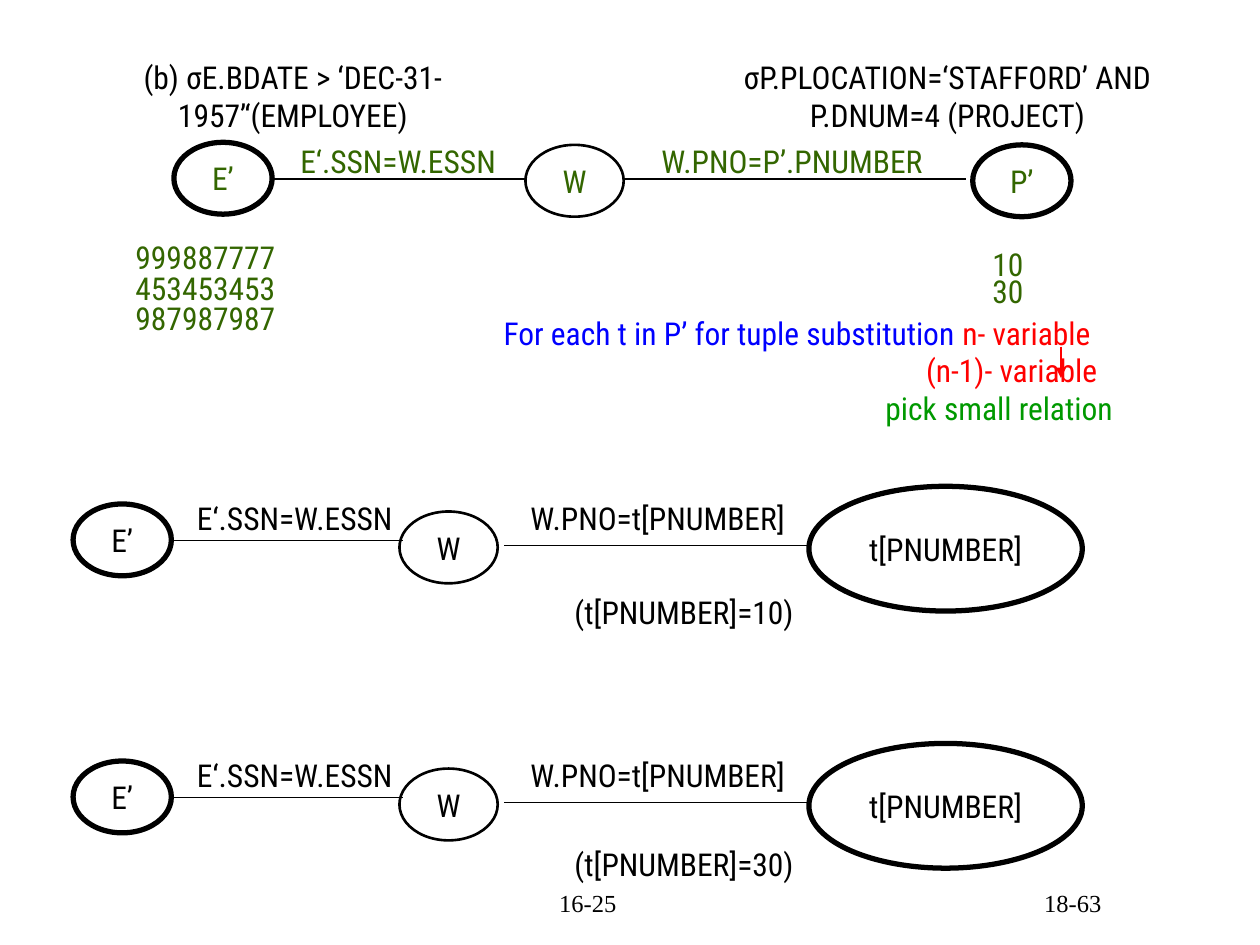
from lxml.etree import SubElement as Sub
from pptx import Presentation
from pptx.dml.color import RGBColor as RGB
from pptx.enum.shapes import MSO_CONNECTOR as Conn, MSO_SHAPE as Form
from pptx.enum.text import MSO_ANCHOR as Anchor, PP_ALIGN as Align
from pptx.oxml.ns import qn
from pptx.util import Inches, Pt

BLACK = RGB(0x00, 0x00, 0x00)
WHITE = RGB(0xFF, 0xFF, 0xFF)
OLIVE = RGB(0x33, 0x66, 0x00)
GREEN = RGB(0x00, 0x99, 0x00)
BLUE = RGB(0x00, 0x00, 0xFF)
RED = RGB(0xFF, 0x00, 0x00)


class Graph:
    """Draws query graph parts on one slide in a shared style."""

    font = "Roboto Condensed"
    size = 18

    def __init__(self, slide):
        self.slide = slide
        self.shapes = slide.shapes

    def words(self, frame, paras, wrap=True, align=Align.CENTER,
              gap=None, font=None, size=None):
        frame.word_wrap = wrap
        for i, runs in enumerate(paras):
            para = frame.add_paragraph() if i else frame.paragraphs[0]
            para.alignment = align
            if gap:
                para.line_spacing = gap
            for text, color in runs:
                run = para.add_run()
                run.text = text
                run.font.name = font or self.font
                run.font.size = Pt(size or self.size)
                run.font.color.rgb = color

    def label(self, x, y, w, h, paras, **style):
        box = self.shapes.add_textbox(*map(Inches, (x, y, w, h)))
        self.words(box.text_frame, paras, **style)
        return box

    def panel(self, x, y, w, h, text):
        box = self.shapes.add_shape(Form.RECTANGLE, *map(Inches, (x, y, w, h)))
        box.shadow.inherit = False
        box.fill.solid()
        box.fill.fore_color.rgb = WHITE
        box.line.fill.background()
        box.text_frame.vertical_anchor = Anchor.TOP
        self.words(box.text_frame, [[(text, BLACK)]])

    def node(self, x, y, text, color=BLACK, bold=True, w=0.78, h=0.57):
        oval = self.shapes.add_shape(Form.OVAL, *map(Inches, (x, y, w, h)))
        oval.shadow.inherit = False
        oval.fill.background()
        oval.line.color.rgb = BLACK
        oval.line.width = Pt(3 if bold else 1.5)
        oval.text_frame.vertical_anchor = Anchor.MIDDLE
        self.words(oval.text_frame, [[(text, color)]])

    def edge(self, x1, y1, x2, y2, color=BLACK, arrow=False):
        line = self.shapes.add_connector(
            Conn.STRAIGHT, *map(Inches, (x1, y1, x2, y2)))
        line.line.color.rgb = color
        line.line.width = Pt(0.75)
        props = line._element.spPr
        if arrow:
            Sub(props.find(qn("a:ln")), qn("a:tailEnd"), type="triangle")
        Sub(props, qn("a:effectLst"))

    def indent(self, box, index, left):
        props = box.text_frame.paragraphs[index]._p.get_or_add_pPr()
        props.set("marL", str(Inches(left)))
        props.set("indent", "0")

    def query(self, y, value, base):
        self.node(0.58, y, "E’")
        self.node(3.17, y + 0.06, "W", bold=False)
        self.node(6.42, y - 0.14, "t[PNUMBER]", w=2.17, h=0.99)
        self.edge(1.37, y + 0.29, 3.2, y + 0.29)
        self.edge(4, y + 0.33, 6.42, y + 0.33)
        for x, top, w, text in (
                (1.36, y - 0.09, 1.96, "E‘.SSN=W.ESSN"),
                (3.9, y - 0.09, 2.64, "W.PNO=t[PNUMBER]"),
                (4.31, base, 2.24, f"(t[PNUMBER]={value})")):
            self.label(x, top, w, 0.4, [[(text, BLACK)]], wrap=False)


def main():
    deck = Presentation()
    deck.slide_width, deck.slide_height = Inches(10), Inches(7.5)
    graph = Graph(deck.slides.add_slide(deck.slide_layouts[6]))

    for x, w, text, align in ((2.75, 3.83, "16-25", Align.CENTER),
                              (7.17, 1.67, "18-63", Align.RIGHT)):
        graph.label(x, 7, w, 0.5, [[(text, BLACK)]], align=align,
                    font="Times New Roman", size=14)

    graph.label(0.41, 0.41, 3.83, 0.44,
                [[("(b) σE.BDATE > ‘DEC-31-1957’‘(EMPLOYEE)", BLACK)]])
    graph.panel(5.29, 0.41, 4.46, 0.44,
                "σP.PLOCATION=‘STAFFORD’ AND P.DNUM=4 (PROJECT)")

    graph.node(1.38, 1.13, "E’", OLIVE)
    graph.node(4.17, 1.15, "W", OLIVE, bold=False)
    graph.node(7.72, 1.15, "P’", OLIVE)
    graph.edge(2.17, 1.42, 4.17, 1.42)
    graph.edge(4.95, 1.42, 7.67, 1.42)
    graph.label(2.18, 1.08, 1.96, 0.4, [[("E‘.SSN=W.ESSN", OLIVE)]], wrap=False)
    graph.label(4.96, 1.08, 2.65, 0.4, [[("W.PNO=P’.PNUMBER", OLIVE)]],
                wrap=False)

    graph.label(0.89, 1.9, 1.48, 0.82,
                [[(ssn, OLIVE)] for ssn in
                 ("999887777", "453453453", "987987987")],
                wrap=False, gap=0.8)
    graph.label(7.76, 1.98, 0.48, 0.52,
                [[(num, OLIVE)] for num in ("10", "30")], wrap=False, gap=0.7)

    note = graph.label(3.04, 2.44, 6.63, 1, [
        [("For each t in P’ for tuple substitution ", BLUE),
         ("n- variable ", RED)],
        [("(n-1)- variable", RED)],
        [("pick small relation", GREEN)]])
    graph.indent(note, 1, 3.35)
    graph.indent(note, 2, 3.15)
    graph.edge(8.42, 2.75, 8.42, 3, RED, arrow=True)

    graph.query(4, 10, 4.66)
    graph.query(6.04, 30, 6.66)
    deck.save("out.pptx")


if __name__ == "__main__":
    main()
